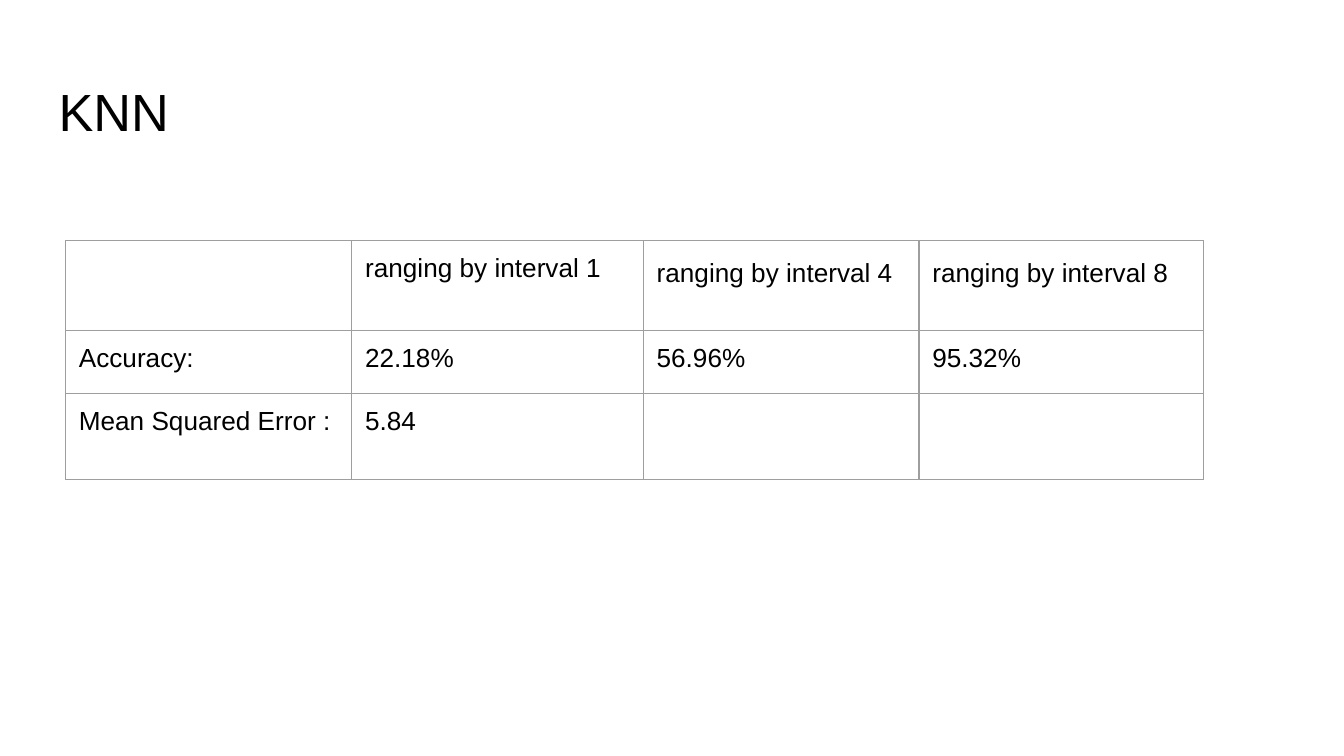
from lxml import etree
from pptx import Presentation
from pptx.oxml.ns import qn
from pptx.util import Cm, Pt

COLORS = {"text": "000000", "border": "9E9E9E", "background": "FFFFFF"}
FONT = "Arial"
INSET = Cm(0.25)
BORDER_WIDTH = Pt(0.75)
BORDER_TAGS = ("a:lnL", "a:lnR", "a:lnT", "a:lnB")

COLUMN_WIDTHS = (5.41, 5.51, 5.21, 5.38)
ROW_HEIGHTS = (1.7, 1.19, 1.63)
RESULTS = (
    ("", "ranging by interval 1", "ranging by interval 4", "ranging by interval 8"),
    ("Accuracy:", "22.18%", "56.96%", "95.32%"),
    ("Mean Squared Error :", "5.84", "", ""),
)
LOOSE_CELLS = {(0, 2), (0, 3)}  # row, column of cells with wider line spacing
LOOSE_SPACING = 1.15


def rgb(name):
    return RGBColor.from_string(COLORS[name])


def set_insets(box):
    """Give a text frame or a table cell the same inset on all sides."""
    box.margin_left = box.margin_right = INSET
    box.margin_top = box.margin_bottom = INSET


def add_run(p, text, size):
    r = p.add_run()
    r.text = text
    r.font.name = FONT
    r.font.size = Pt(size)
    r.font.color.rgb = rgb("text")


def add_title(slide, text):
    sp = slide.shapes.add_textbox(Cm(0.86), Cm(1.24), Cm(23.67), Cm(1.6))
    tf = sp.text_frame
    tf.word_wrap = True
    set_insets(tf)
    add_run(tf.paragraphs[0], text, 28)


def set_borders(cell):
    """Draw the four borders, which must precede the fill in the cell XML."""
    props = cell._tc.get_or_add_tcPr()
    for i, tag in enumerate(BORDER_TAGS):
        line = etree.Element(qn(tag), w=str(BORDER_WIDTH))
        fill = etree.SubElement(line, qn("a:solidFill"))
        etree.SubElement(fill, qn("a:srgbClr"), val=COLORS["border"])
        props.insert(i, line)


def add_results_table(slide):
    frame = slide.shapes.add_table(
        len(ROW_HEIGHTS), len(COLUMN_WIDTHS), Cm(1.24), Cm(4.55),
        Cm(sum(COLUMN_WIDTHS)), Cm(sum(ROW_HEIGHTS)))
    table = frame.table
    table.first_row = table.horz_banding = False
    for column, width in zip(table.columns, COLUMN_WIDTHS):
        column.width = Cm(width)
    for row, height in zip(table.rows, ROW_HEIGHTS):
        row.height = Cm(height)

    for i, texts in enumerate(RESULTS):
        for j, text in enumerate(texts):
            cell = table.cell(i, j)
            cell.fill.background()
            set_borders(cell)
            set_insets(cell)
            p = cell.text_frame.paragraphs[0]
            if (i, j) in LOOSE_CELLS:
                p.line_spacing = LOOSE_SPACING
            if text:
                add_run(p, text, 14)


def main():
    prs = Presentation()
    prs.slide_width, prs.slide_height = Cm(25.4), Cm(14.29)
    slide = prs.slides.add_slide(prs.slide_layouts[6])
    slide.background.fill.solid()
    slide.background.fill.fore_color.rgb = rgb("background")
    add_title(slide, "KNN")
    add_results_table(slide)
    prs.save("out.pptx")


if __name__ == "__main__":
    from pptx.dml.color import RGBColor
    main()
